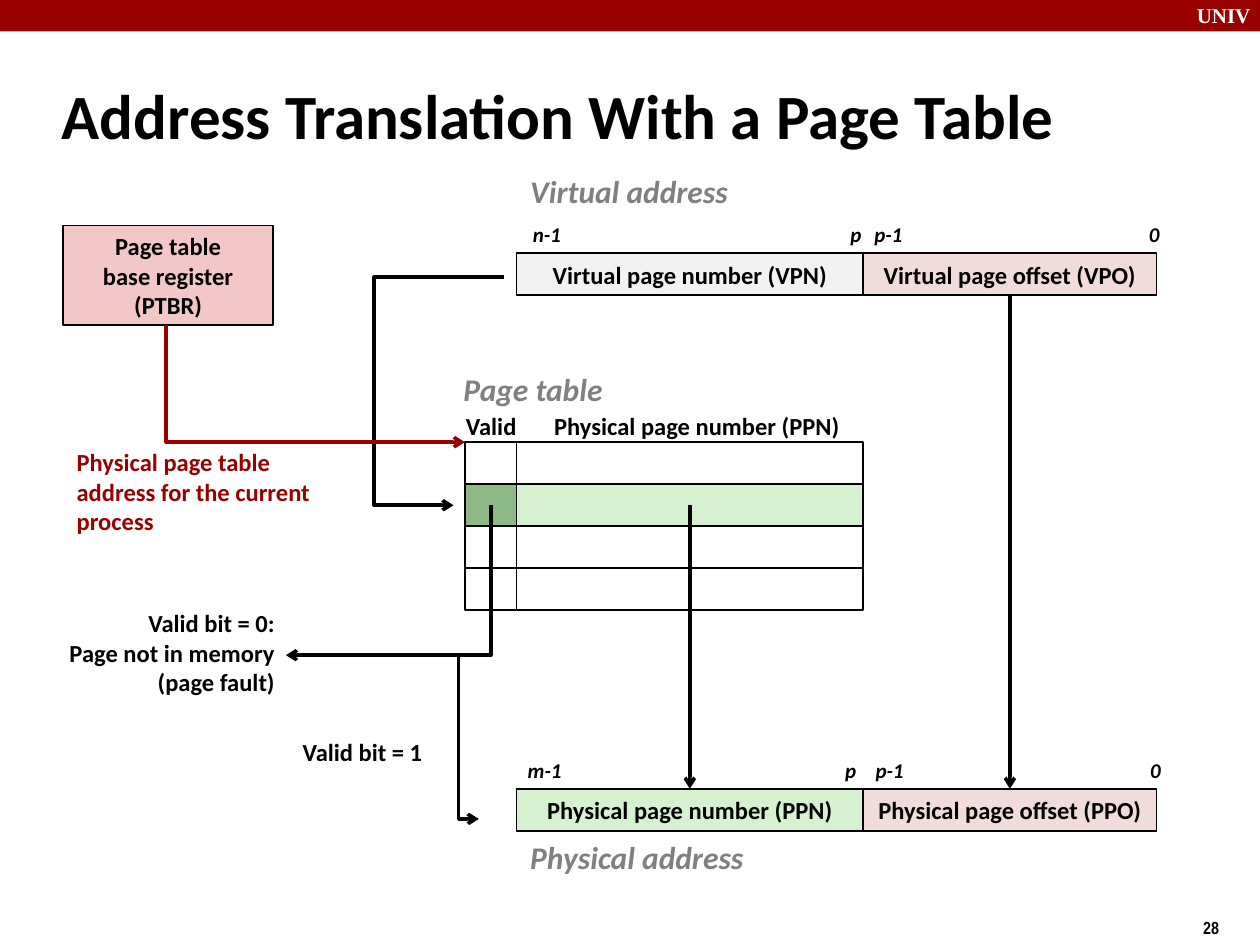
from pptx import Presentation
from pptx.dml.color import RGBColor
from pptx.enum.shapes import MSO_CONNECTOR as Connector, MSO_SHAPE as Shape
from pptx.enum.text import MSO_ANCHOR as Anchor, PP_ALIGN as Align
from pptx.oxml.ns import qn
from pptx.util import Inches, Pt
from lxml.etree import SubElement

BLACK = RGBColor(0x00, 0x00, 0x00)
WHITE = RGBColor(0xFF, 0xFF, 0xFF)
DARK_RED = RGBColor(0x99, 0x00, 0x00)
GRAY = RGBColor(0x80, 0x80, 0x80)
LIGHT_GRAY = RGBColor(0xF2, 0xF2, 0xF2)
PINK = RGBColor(0xF1, 0xC7, 0xC7)
PALE_PINK = RGBColor(0xF2, 0xDC, 0xDB)
PALE_GREEN = RGBColor(0xD5, 0xF1, 0xCF)
GREEN = RGBColor(0x8D, 0xBA, 0x84)

NUMBER_LEFT, NUMBER_WIDTH = 4.1, 2.75
OFFSET_LEFT, OFFSET_WIDTH = 6.85, 2.33
VALID_LEFT, VALID_WIDTH = 3.69, 0.41
ROW_HEIGHT = 1 / 3
VIRTUAL_TOP, TABLE_TOP, PHYSICAL_TOP = 2.01, 3.51, 6.26
ENTRY_MIDDLE = TABLE_TOP + 1.5 * ROW_HEIGHT
VALID_MIDDLE = VALID_LEFT + VALID_WIDTH / 2
VALID_BRANCH = 5.2


def write_lines(frame, lines, size=14, color=BLACK, align=Align.LEFT,
                italic=False, font_name="Calibri"):
    """Put each line in its own paragraph of a text frame."""
    for index, line in enumerate(lines):
        paragraph = frame.paragraphs[0] if index == 0 else frame.add_paragraph()
        paragraph.alignment = align
        run = paragraph.add_run()
        run.text = line
        run.font.name = font_name
        run.font.size = Pt(size)
        run.font.bold = True
        run.font.italic = italic
        run.font.color.rgb = color


def add_label(slide, left, top, width, height, *lines, **style):
    box = slide.shapes.add_textbox(Inches(left), Inches(top), Inches(width), Inches(height))
    box.text_frame.word_wrap = False
    write_lines(box.text_frame, lines, **style)


def add_heading(slide, left, top, width, text):
    add_label(slide, left, top, width, 0.4, text, size=18, color=GRAY, italic=True)


def add_box(slide, left, top, width, height, *lines, fill=None, outline=BLACK):
    box = slide.shapes.add_shape(Shape.RECTANGLE, Inches(left), Inches(top),
                                 Inches(width), Inches(height))
    box.shadow.inherit = False
    if fill is None:
        box.fill.background()
    else:
        box.fill.solid()
        box.fill.fore_color.rgb = fill
    if outline is None:
        box.line.fill.background()
    else:
        box.line.color.rgb = outline
        box.line.width = Pt(1)
    box.text_frame.vertical_anchor = Anchor.MIDDLE
    write_lines(box.text_frame, lines, align=Align.CENTER)
    return box


def add_arrow(slide, kind, start, end, color=BLACK, arrow_at="tailEnd"):
    arrow = slide.shapes.add_connector(kind, *map(Inches, start + end))
    arrow.line.color.rgb = color
    arrow.line.width = Pt(2)
    SubElement(arrow.line._get_or_add_ln(), qn(f"a:{arrow_at}"), type="arrow")
    SubElement(arrow._element.spPr, qn("a:effectLst"))
    return arrow


def add_elbow(slide, start, end, bend, **style):
    """Draw an elbow arrow whose vertical part stands at x = bend."""
    arrow = add_arrow(slide, Connector.ELBOW, start, end, **style)
    ratio = (bend - start[0]) / (end[0] - start[0])
    guides = arrow._element.spPr.prstGeom.get_or_add_avLst()
    SubElement(guides, qn("a:gd"), name="adj1", fmla=f"val {round(ratio * 100000)}")


def add_address(slide, top, number, offset, number_fill, bits):
    """Draw an address as two fields with bit positions above; return the fields."""
    for left, width, text in bits:
        add_label(slide, left, top - 0.3, width, 0.3, text, size=12, italic=True)
    return (
        add_box(slide, NUMBER_LEFT, top, NUMBER_WIDTH, ROW_HEIGHT, number, fill=number_fill),
        add_box(slide, OFFSET_LEFT, top, OFFSET_WIDTH, ROW_HEIGHT, offset, fill=PALE_PINK),
    )


def add_page_table(slide):
    add_heading(slide, 3.58, 2.89, 1.42, "Page table")
    add_label(slide, 3.6, 3.21, 0.6, 0.33, "Valid")
    add_label(slide, 4.3, 3.21, 2.6, 0.33, "Physical page number (PPN)")
    fills = [(None, None), (GREEN, PALE_GREEN), (None, None), (None, None)]
    for row, (valid_fill, number_fill) in enumerate(fills):
        top = TABLE_TOP + row * ROW_HEIGHT
        add_box(slide, NUMBER_LEFT, top, NUMBER_WIDTH, ROW_HEIGHT, fill=number_fill)
        add_box(slide, VALID_LEFT, top, VALID_WIDTH, ROW_HEIGHT, fill=valid_fill)


def add_frame(slide):
    """Add the top bar, the title and the page number."""
    add_box(slide, 0, 0, 10, 0.25, fill=DARK_RED, outline=None)
    add_label(slide, 9.4, -0.03, 0.67, 0.3, "UNIV", size=12, color=WHITE,
              font_name="Times New Roman")
    add_label(slide, 9.45, 7.23, 0.75, 0.29, "28", size=10, font_name="Arial Narrow")
    title = slide.shapes.title
    title.left, title.top = Inches(0.39), Inches(0.49)
    title.width, title.height = Inches(8.3), Inches(0.83)
    title.text_frame.vertical_anchor = Anchor.MIDDLE
    write_lines(title.text_frame, ["Address Translation With a Page Table"], size=36)


def add_notes_beside_arrows(slide):
    add_label(slide, 0.51, 3.5, 2.05, 0.8, "Physical page table",
              "address for the current", "process", color=DARK_RED)
    add_label(slide, 0.45, 4.78, 1.83, 0.8, "Valid bit = 0:",
              "Page not in memory", "(page fault)", align=Align.RIGHT)
    add_label(slide, 2.3, 5.8, 1.15, 0.33, "Valid bit = 1", align=Align.RIGHT)


def main():
    presentation = Presentation()
    presentation.slide_width, presentation.slide_height = Inches(10), Inches(7.5)
    slide = presentation.slides.add_slide(presentation.slide_layouts[5])
    add_frame(slide)

    add_heading(slide, 4.11, 1.32, 1.77, "Virtual address")
    _, virtual_offset = add_address(
        slide, VIRTUAL_TOP, "Virtual page number (VPN)", "Virtual page offset (VPO)", LIGHT_GRAY,
        [(4.13, 0.42, "n-1"), (6.65, 0.29, "p"), (6.84, 0.42, "p-1"), (9.02, 0.28, "0")])
    add_page_table(slide)
    physical_number, physical_offset = add_address(
        slide, PHYSICAL_TOP, "Physical page number (PPN)", "Physical page offset (PPO)", PALE_GREEN,
        [(4.09, 0.47, "m-1"), (6.61, 0.29, "p"), (6.85, 0.42, "p-1"), (9.03, 0.28, "0")])
    add_heading(slide, 4.11, 6.6, 1.89, "Physical address")
    add_box(slide, 0.5, 1.79, 1.67, 0.79, "Page table", "base register", "(PTBR)", fill=PINK)

    offset_middle = OFFSET_LEFT + OFFSET_WIDTH / 2
    offset_arrow = add_arrow(slide, Connector.STRAIGHT,
                             (offset_middle, VIRTUAL_TOP + ROW_HEIGHT),
                             (offset_middle, PHYSICAL_TOP))
    offset_arrow.begin_connect(virtual_offset, 2)
    offset_arrow.end_connect(physical_offset, 0)
    number_middle = NUMBER_LEFT + NUMBER_WIDTH / 2
    number_arrow = add_arrow(slide, Connector.STRAIGHT, (number_middle, ENTRY_MIDDLE),
                             (number_middle, PHYSICAL_TOP))
    number_arrow.end_connect(physical_number, 0)

    add_elbow(slide, (4, 2.2), (3.6, ENTRY_MIDDLE), bend=2.97)
    add_elbow(slide, (VALID_MIDDLE, VALID_BRANCH), (3.8, 6.5), bend=3.64)
    add_elbow(slide, (2.27, VALID_BRANCH), (VALID_MIDDLE, ENTRY_MIDDLE),
              bend=VALID_MIDDLE, arrow_at="headEnd")
    add_elbow(slide, (VALID_LEFT, TABLE_TOP), (1.32, 2.58), bend=1.32,
              color=DARK_RED, arrow_at="headEnd")
    add_notes_beside_arrows(slide)
    presentation.save("out.pptx")


if __name__ == "__main__":
    main()
